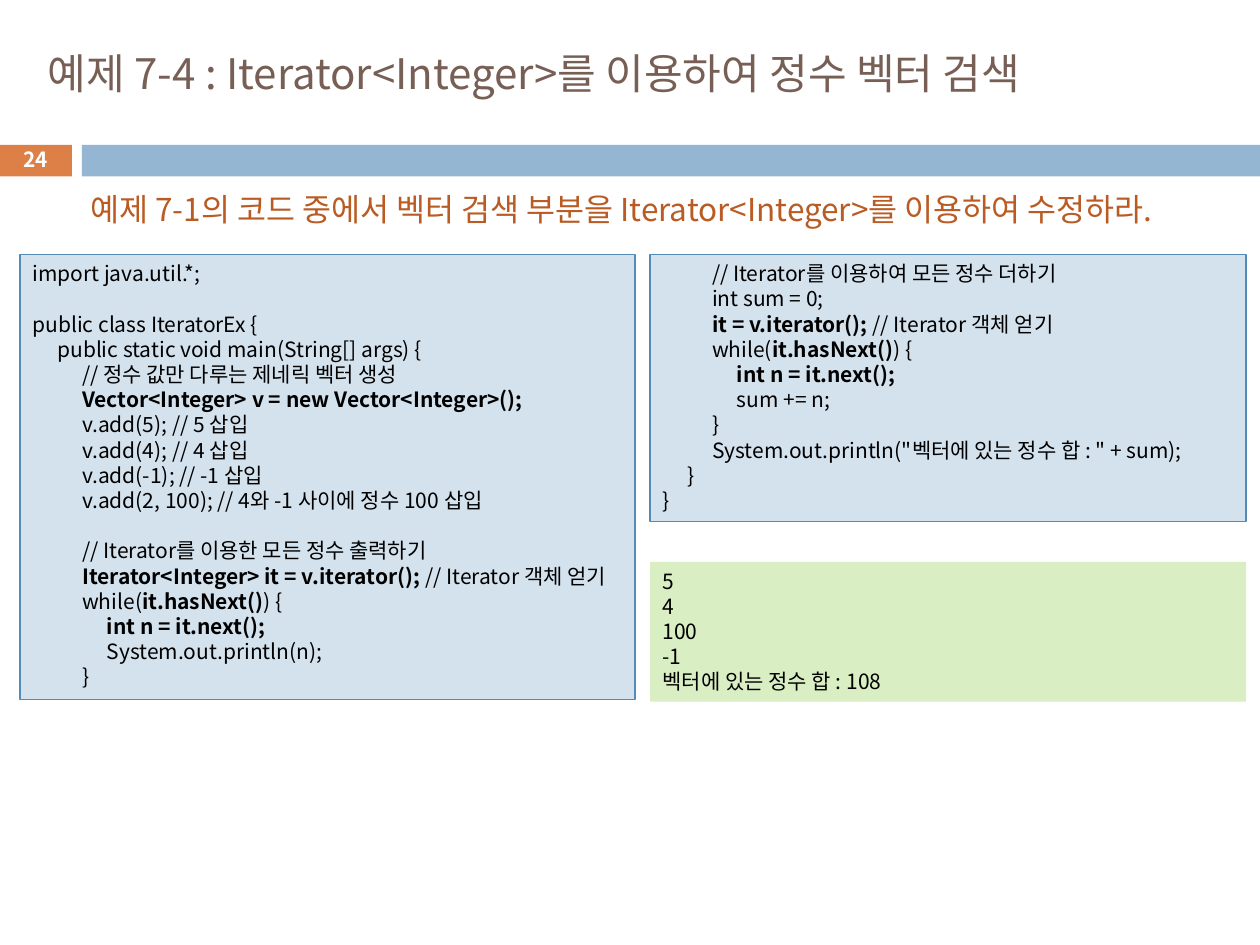
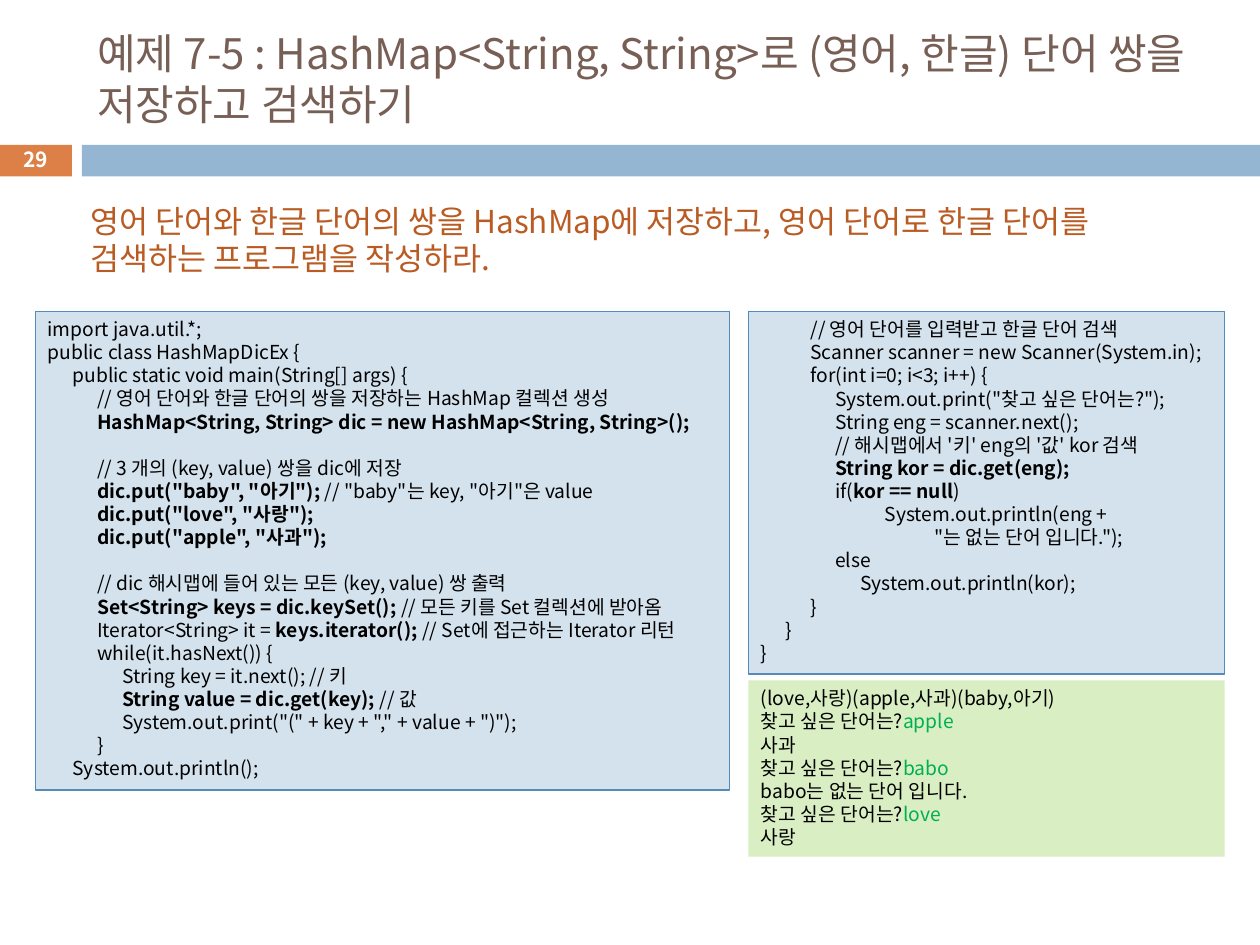
from dataclasses import dataclass

from lxml.etree import SubElement
from pptx import Presentation
from pptx.dml.color import RGBColor as RGB
from pptx.enum.shapes import MSO_SHAPE as Shape
from pptx.enum.text import MSO_ANCHOR as Anchor, MSO_AUTO_SIZE as AutoSize, PP_ALIGN as Align
from pptx.oxml.ns import qn
from pptx.util import Inches, Pt


@dataclass(frozen=True)
class Theme:
    font: str = "Noto Sans CJK KR"
    title: str = "775F55"
    task: str = "B95B22"
    text: str = "000000"
    typed: str = "00B050"
    number: str = "FFFFFF"
    number_band: str = "DD8047"
    title_band: str = "94B6D2"
    code_fill: str = "D4E2ED"
    code_line: str = "558BB8"
    output_fill: str = "DAEEC4"
    title_size: float = 24
    task_size: float = 18
    number_size: float = 11.9
    line_height: float = 1.2
    tab: float = 0.5 / 2.54
    tab_count: int = 8


THEME = Theme()
MARK = "**"  # encloses emphasised words

# Code and results of the Iterator example
ITERATOR_PRINT = """import java.util.*;

public class IteratorEx {
\tpublic static void main(String[] args) {
\t\t// 정수 값만 다루는 제네릭 벡터 생성
\t\t**Vector<Integer> v = new Vector<Integer>();**
\t\tv.add(5); // 5 삽입
\t\tv.add(4); // 4 삽입
\t\tv.add(-1); // -1 삽입
\t\tv.add(2, 100); // 4와 -1 사이에 정수 100 삽입

\t\t// Iterator를 이용한 모든 정수 출력하기
\t\t**Iterator<Integer> it = v.iterator(); **// Iterator 객체 얻기
\t\twhile(**it.hasNext()**) {
\t\t\t**int n = it.next();**
\t\t\tSystem.out.println(n);
\t\t}"""

ITERATOR_SUM = """\t\t// Iterator를 이용하여 모든 정수 더하기
\t\tint sum = 0;
\t\t**it = v.iterator(); **// Iterator 객체 얻기
\t\twhile(**it.hasNext()**) {
\t\t\t**int n = it.next();**
\t\t\tsum += n;
\t\t}
\t\tSystem.out.println("벡터에 있는 정수 합 : " + sum);
\t}
}"""

ITERATOR_OUTPUT = """5
4
100
-1
벡터에 있는 정수 합 : 108"""

# Code and results of the HashMap example
HASHMAP_STORE = """import java.util.*;
public class HashMapDicEx {
\tpublic static void main(String[] args) {
\t\t// 영어 단어와 한글 단어의 쌍을 저장하는 HashMap 컬렉션 생성
\t\t**HashMap<String, String> dic = new HashMap<String, String>();**

\t\t// 3 개의 (key, value) 쌍을 dic에 저장
\t\t**dic.put("baby", "아기");** // "baby"는 key, "아기"은 value
\t\t**dic.put("love", "사랑");**
\t\t**dic.put("apple", "사과");**

\t\t// dic 해시맵에 들어 있는 모든 (key, value) 쌍 출력
\t\t**Set<String> keys = dic.keySet();** // 모든 키를 Set 컬렉션에 받아옴
\t\tIterator<String> it = **keys.iterator(); **// Set에 접근하는 Iterator 리턴
\t\twhile(it.hasNext()) {
\t\t\tString key = it.next(); // 키
\t\t\t**String value = dic.get(key); **// 값
\t\t\tSystem.out.print("(" + key + "," + value + ")");
\t\t}
\tSystem.out.println();"""

HASHMAP_SEARCH = """\t\t// 영어 단어를 입력받고 한글 단어 검색
\t\tScanner scanner = new Scanner(System.in);
\t\tfor(int i=0; i<3; i++) {
\t\t\tSystem.out.print("찾고 싶은 단어는?");
\t\t\tString eng = scanner.next();
\t\t\t// 해시맵에서 '키' eng의 '값' kor 검색
\t\t\t**String kor = dic.get(eng);**
\t\t\tif(**kor == null**)
\t\t\t\t\tSystem.out.println(eng +
\t\t\t\t\t\t\t"는 없는 단어 입니다.");
\t\t\telse
\t\t\t\tSystem.out.println(kor);
\t\t}
\t}
}"""

HASHMAP_OUTPUT = """(love,사랑)(apple,사과)(baby,아기)
찾고 싶은 단어는?**apple**
사과
찾고 싶은 단어는?**babo**
babo는 없는 단어 입니다.
찾고 싶은 단어는?**love**
사랑"""


def set_tabs(paragraph):
    """Place evenly spaced tab stops for code indents."""
    tab_list = SubElement(paragraph._p.get_or_add_pPr(), qn("a:tabLst"))
    for step in range(1, THEME.tab_count + 1):
        SubElement(tab_list, qn("a:tab"), pos=str(Inches(THEME.tab * step)), algn="l")


def add_run(paragraph, text, size, color, bold):
    run = paragraph.add_run()
    run.text = text
    font = run.font
    font.name, font.size, font.bold = THEME.font, Pt(size), bold
    font.color.rgb = RGB.from_string(color)
    SubElement(run._r.get_or_add_rPr(), qn("a:ea"), typeface=THEME.font)


def write(shape, text, *, size, color=THEME.text, bold=False, align=Align.LEFT,
          anchor=Anchor.TOP, fit=AutoSize.SHAPE_TO_FIT_TEXT, tabs=False, emphasis=None):
    """Write lines; an empty line becomes space before the next one."""
    frame = shape.text_frame
    frame.word_wrap, frame.vertical_anchor, frame.auto_size = True, anchor, fit
    paragraph, gap = frame.paragraphs[0], 0
    for index, line in enumerate(text.split("\n")):
        if not line:
            gap += size * THEME.line_height
            continue
        if index:
            paragraph = frame.add_paragraph()
        paragraph.alignment = align
        if gap:
            paragraph.space_before, gap = Pt(gap), 0
        if tabs:
            set_tabs(paragraph)
        plain = {"size": size, "color": color, "bold": bold}
        for part, words in enumerate(line.split(MARK)):
            if words:
                add_run(paragraph, words, **(plain | (emphasis or {}) if part % 2 else plain))


def add_box(slide, place, fill, line=None):
    box = slide.shapes.add_shape(Shape.RECTANGLE, *map(Inches, place))
    box.shadow.inherit = False
    box.fill.solid()
    box.fill.fore_color.rgb = RGB.from_string(fill)
    if line:
        box.line.color.rgb = RGB.from_string(line)
        box.line.width = Pt(0.75)
    else:
        box.line.fill.background()
    return box


def add_code(slide, place, code, size):
    box = add_box(slide, place, THEME.code_fill, THEME.code_line)
    write(box, code, size=size, tabs=True, emphasis={"bold": True})


def add_output(slide, place, output, size):
    box = add_box(slide, place, THEME.output_fill)
    write(box, output, size=size, emphasis={"color": THEME.typed})


def add_task(slide, place, task):
    box = slide.shapes.add_textbox(*map(Inches, place))
    write(box, task, size=THEME.task_size, color=THEME.task)


def add_example_slide(presentation, number, title, title_place):
    """Start a slide with its bands, title and number."""
    slide = presentation.slides.add_slide(presentation.slide_layouts[5])
    heading = slide.shapes.title
    heading.left, heading.top, heading.width, heading.height = map(Inches, title_place)
    write(heading, title, size=THEME.title_size, color=THEME.title,
          anchor=Anchor.MIDDLE, fit=AutoSize.NONE)
    add_box(slide, (-0.01, 1.15, 0.58, 0.25), THEME.number_band)
    add_box(slide, (0.65, 1.15, 9.35, 0.25), THEME.title_band)
    number_box = slide.shapes.add_textbox(*map(Inches, (-0.01, 1.13, 0.58, 0.27)))
    write(number_box, str(number), size=THEME.number_size, color=THEME.number, bold=True,
          align=Align.CENTER, anchor=Anchor.MIDDLE, fit=AutoSize.NONE)
    return slide


def build_iterator_slide(presentation):
    slide = add_example_slide(
        presentation, 24, "예제 7-4 : Iterator<Integer>를 이용하여 정수 벡터 검색",
        (0.28, 0.13, 9.5, 0.89))
    add_task(slide, (0.62, 1.46, 9.1, 0.4),
             "예제 7-1의 코드 중에서 벡터 검색 부분을 Iterator<Integer>를 이용하여 수정하라.")
    add_code(slide, (0.16, 2.02, 4.88, 3.53), ITERATOR_PRINT, 12)
    add_code(slide, (5.16, 2.02, 4.73, 2.12), ITERATOR_SUM, 12)
    add_output(slide, (5.16, 4.46, 4.73, 1.11), ITERATOR_OUTPUT, 12)


def build_hashmap_slide(presentation):
    slide = add_example_slide(
        presentation, 29,
        "예제 7-5 : HashMap<String, String>로 (영어, 한글) 단어 쌍을 저장하고 검색하기",
        (0.67, 0.25, 8.92, 0.74))
    add_task(slide, (0.62, 1.55, 8.71, 0.71),
             "영어 단어와 한글 단어의 쌍을 HashMap에 저장하고, "
             "영어 단어로 한글 단어를 검색하는 프로그램을 작성하라.")
    add_code(slide, (0.28, 2.47, 5.51, 3.8), HASHMAP_STORE, 11)
    add_code(slide, (5.94, 2.47, 3.78, 2.88), HASHMAP_SEARCH, 11)
    add_output(slide, (5.94, 5.4, 3.78, 1.4), HASHMAP_OUTPUT, 11)


def main():
    presentation = Presentation()
    presentation.slide_width, presentation.slide_height = Inches(10), Inches(7.5)
    build_iterator_slide(presentation)
    build_hashmap_slide(presentation)
    presentation.save("out.pptx")


if __name__ == "__main__":
    main()
